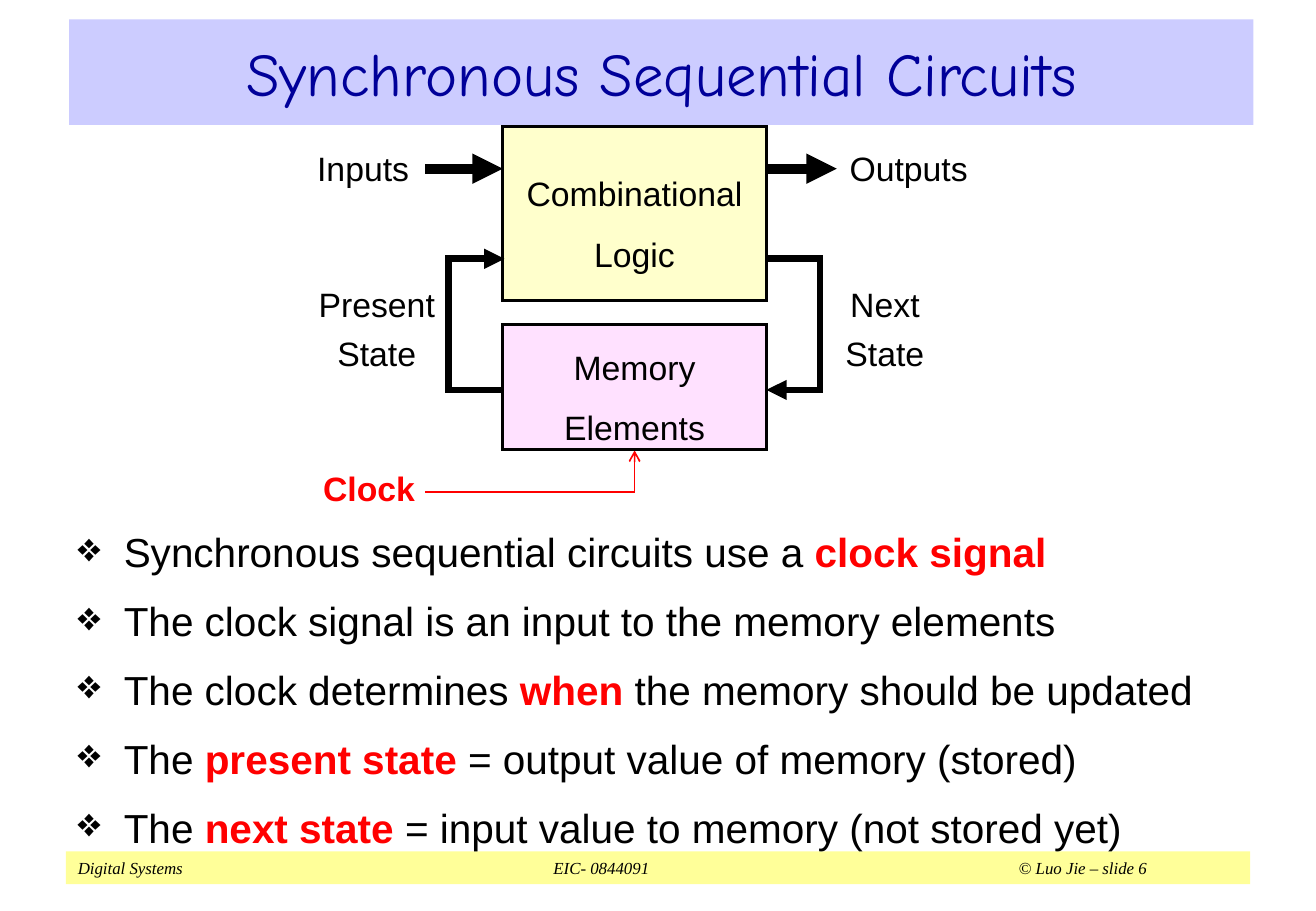
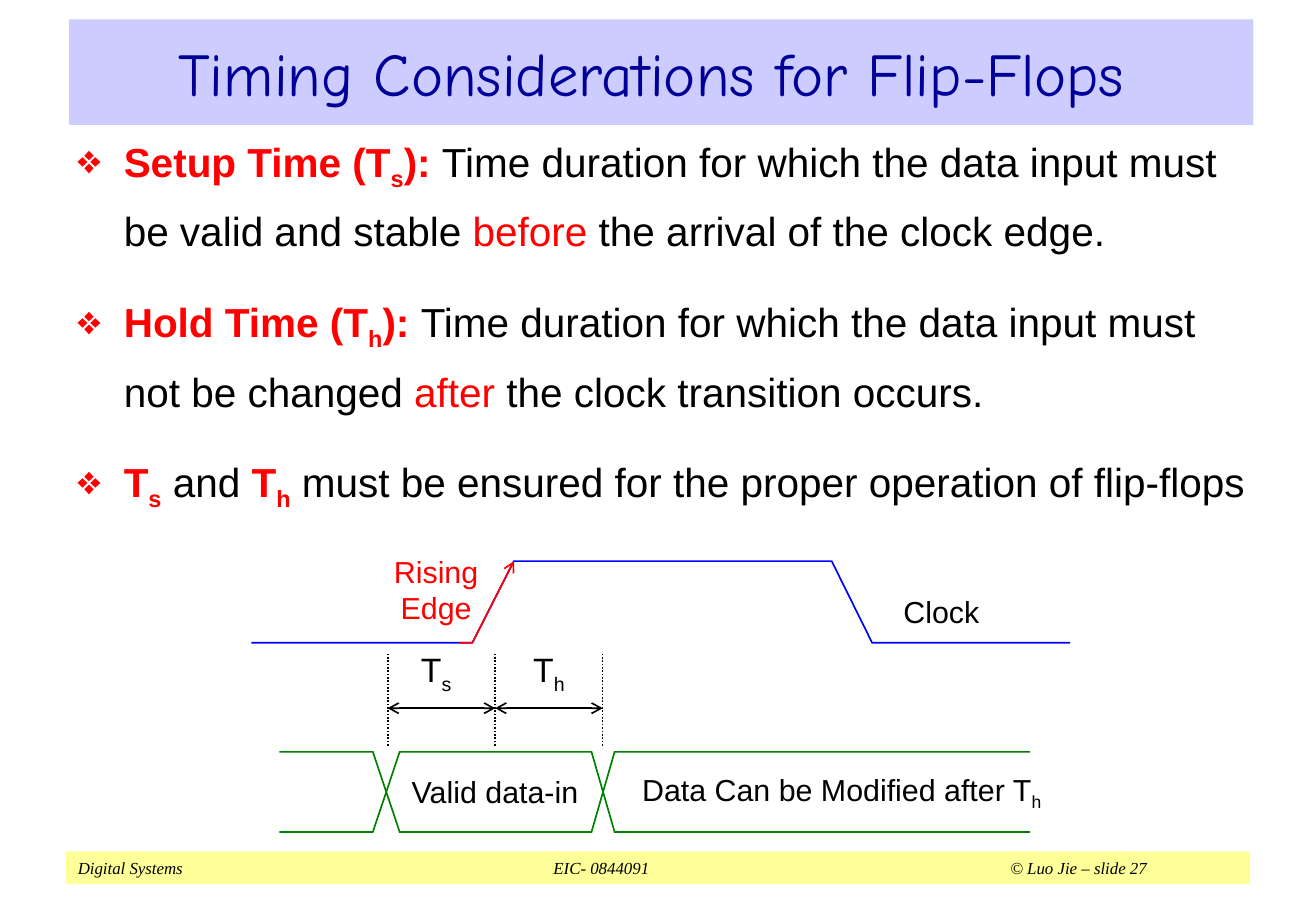
import dataclasses

import lxml.etree
import pptx
import pptx.dml.color
import pptx.enum.dml
import pptx.enum.shapes
import pptx.enum.text
import pptx.oxml.ns
import pptx.util

Pt = pptx.util.Pt
ALIGN = pptx.enum.text.PP_ALIGN
ANCHOR = pptx.enum.text.MSO_ANCHOR


@dataclasses.dataclass(frozen=True)
class Theme:
    black: str = "000000"
    white: str = "FFFFFF"
    red: str = "FF0000"
    title: str = "000099"
    title_band: str = "CCCCFF"
    footer_band: str = "FFFF99"
    logic: str = "FFFFCC"
    memory: str = "FFE1FF"
    clock: str = "0000FF"
    data: str = "008000"
    title_font: str = "Comic Neue"
    text_font: str = "Arial"
    footer_font: str = "Times New Roman"
    title_size: int = 36
    body_size: int = 24
    label_size: int = 20
    small_size: int = 18
    footer_size: int = 10


THEME = Theme()
SLIDE_SIZE = (780, 540)
TITLE_BOX = (41, 11.5, 702, 62.6)
FOOTER_BOX = (39, 504.7, 702, 19.4)
FOOTER_TABS = (("ctr", 310.3), ("r", 633.6))
BULLET_INDENT = 27.3

RUN_STYLES = {
    "plain": (THEME.black, False, False),
    "sub": (THEME.black, False, True),
    "red": (THEME.red, False, False),
    "key": (THEME.red, True, False),
    "key sub": (THEME.red, True, True),
}

CIRCUIT_TITLE = "Synchronous Sequential Circuits"
CIRCUIT_POINTS = [
    [("Synchronous sequential circuits use a ", "plain"), ("clock signal", "key")],
    [("The clock signal is an input to the memory elements", "plain")],
    [("The clock determines ", "plain"), ("when ", "key"),
     ("the memory should be updated", "plain")],
    [("The ", "plain"), ("present state ", "key"),
     ("= output value of memory (stored)", "plain")],
    [("The ", "plain"), ("next state ", "key"),
     ("= input value to memory (not stored yet)", "plain")],
]
CIRCUIT_LABELS = [
    (["Inputs"], "plain", (188, 82, 60.5, 35.3), ALIGN.LEFT),
    (["Outputs"], "plain", (503.3, 82, 70.6, 35.3), ALIGN.CENTER),
    (["Next", "State"], "plain", (496, 163.5, 57, 57.6), ALIGN.CENTER),
    (["Present", "State"], "plain", (188, 163.5, 70.6, 57.6), ALIGN.CENTER),
    (["Clock"], "key", (191.5, 276.5, 60.5, 25.2), ALIGN.LEFT),
]

TIMING_TITLE = "Timing Considerations for Flip-Flops "
TIMING_POINTS = [
    [("Setup Time (T", "key"), ("s", "key sub"), ("): ", "key"),
     ("Time duration for which the data input must be valid and stable ", "plain"),
     ("before", "red"), (" the arrival of the clock edge.", "plain")],
    [("Hold Time (T", "key"), ("h", "key sub"), ("): ", "key"),
     ("Time duration for which the data input must not be changed ", "plain"),
     ("after", "red"), (" the clock transition occurs.", "plain")],
    [("T", "key"), ("s", "key sub"), (" and ", "plain"), ("T", "key"), ("h", "key sub"),
     (" must be ensured for the proper operation of flip-flops", "plain")],
]
TIMING_LABELS = [
    ([[("Valid data-in", "plain")]], (241.2, 453.6, 104.4, 31), THEME.small_size),
    ([[("Data Can be Modified after T", "plain"), ("h", "sub")]],
     (367.9, 453.6, 262, 31), THEME.small_size),
    ([[("Clock", "plain")]], (522, 348.5, 72, 28), THEME.small_size),
    ([[("Rising", "red")], [("Edge", "red")]], (223.2, 326.2, 70.6, 46), THEME.small_size),
    ([[("T", "plain"), ("s", "sub")]], (240.5, 384.5, 36, 28), THEME.label_size),
    ([[("T", "plain"), ("h", "sub")]], (307.4, 384.5, 36, 28), THEME.label_size),
]


def colour(value):
    return pptx.dml.color.RGBColor.from_string(value)


def points(values):
    return [Pt(value) for value in values]


def add_element(parent, tag, **attributes):
    element = lxml.etree.SubElement(parent, pptx.oxml.ns.qn(tag))
    for name, value in attributes.items():
        element.set(name, str(value))
    return element


def set_font(paragraph, name, size, value, italic=None):
    font = paragraph.font
    font.name, font.size, font.italic = name, Pt(size), italic
    font.color.rgb = colour(value)


def fill_shape(shape, value):
    shape.fill.solid()
    shape.fill.fore_color.rgb = colour(value)


def add_runs(paragraph, runs, size):
    set_font(paragraph, THEME.text_font, size, THEME.black)
    for text, style in runs:
        value, bold, subscript = RUN_STYLES[style]
        run = paragraph.add_run()
        run.text = text
        run.font.bold = bold
        run.font.color.rgb = colour(value)
        if subscript:
            run.font._element.set("baseline", "-25000")


def write_label(shape, lines, size, align=ALIGN.CENTER, spacing=None):
    frame = shape.text_frame
    frame.word_wrap = True
    frame.vertical_anchor = ANCHOR.MIDDLE
    frame.margin_left = frame.margin_right = frame.margin_top = frame.margin_bottom = 0
    for index, runs in enumerate(lines):
        paragraph = frame.add_paragraph() if index else frame.paragraphs[0]
        paragraph.alignment = align
        paragraph.line_spacing = spacing
        add_runs(paragraph, runs, size)


def add_box(slide, box, fill):
    shape = slide.shapes.add_shape(pptx.enum.shapes.MSO_SHAPE.RECTANGLE, *points(box))
    shape.shadow.inherit = False
    fill_shape(shape, fill)
    shape.line.fill.background()
    return shape


def set_line(shape, value, width, head=None, tail=None, dash=None):
    shape.line.color.rgb = colour(value)
    shape.line.width = Pt(width)
    if dash:
        shape.line.dash_style = dash
    line = shape.line._get_or_add_ln()
    add_element(line, "a:miter", lim=800000)
    for tag, kind in (("a:headEnd", head), ("a:tailEnd", tail)):
        if kind:
            add_element(line, tag, type=kind)


def add_line(slide, start, end, *style, **ends):
    connector = slide.shapes.add_connector(
        pptx.enum.shapes.MSO_CONNECTOR.STRAIGHT, *points(start + end))
    set_line(connector, *style, **ends)
    add_element(connector._element.spPr, "a:effectLst")


def add_polyline(slide, vertices, *style, **ends):
    vertices = [points(vertex) for vertex in vertices]
    builder = slide.shapes.build_freeform(*vertices[0])
    builder.add_line_segments(vertices[1:], close=False)
    shape = builder.convert_to_shape()
    shape.fill.background()
    set_line(shape, *style, **ends)
    shape.shadow.inherit = False


def add_bullets(slide, box, items, space_before, spacing=None):
    frame = slide.shapes.add_textbox(*points(box)).text_frame
    frame.word_wrap = True
    for index, runs in enumerate(items):
        paragraph = frame.add_paragraph() if index else frame.paragraphs[0]
        paragraph.space_before = Pt(space_before)
        paragraph.line_spacing = spacing
        properties = paragraph._p.get_or_add_pPr()
        properties.set("marL", str(Pt(BULLET_INDENT)))
        properties.set("indent", str(-Pt(BULLET_INDENT)))
        bullet_colour = add_element(properties, "a:buClr")
        add_element(bullet_colour, "a:srgbClr", val=RUN_STYLES[runs[0][1]][0])
        add_element(properties, "a:buChar", char="❖")
        add_runs(paragraph, runs, THEME.body_size)


def add_slide(presentation, title_text, number):
    slide = presentation.slides.add_slide(presentation.slide_layouts[5])

    footer = add_box(slide, FOOTER_BOX, THEME.footer_band)
    footer.text_frame.vertical_anchor = ANCHOR.TOP
    paragraph = footer.text_frame.paragraphs[0]
    paragraph.text = f"Digital Systems\tEIC- 0844091\t© Luo Jie – slide {number}"
    paragraph.alignment = ALIGN.LEFT
    tabs = add_element(paragraph._p.get_or_add_pPr(), "a:tabLst")
    for align, position in FOOTER_TABS:
        add_element(tabs, "a:tab", pos=Pt(position), algn=align)
    set_font(paragraph, THEME.footer_font, THEME.footer_size, THEME.black, italic=True)

    title = slide.shapes.title
    title.left, title.top, title.width, title.height = points(TITLE_BOX)
    fill_shape(title, THEME.title_band)
    title.text_frame.text = title_text
    title.text_frame.auto_size = pptx.enum.text.MSO_AUTO_SIZE.NONE
    title.text_frame.vertical_anchor = ANCHOR.MIDDLE
    paragraph = title.text_frame.paragraphs[0]
    paragraph.alignment = ALIGN.CENTER
    set_font(paragraph, THEME.title_font, THEME.title_size, THEME.title)
    return slide


def build_circuit_slide(presentation):
    slide = add_slide(presentation, CIRCUIT_TITLE, 6)
    add_bullets(slide, (39, 309, 705.6, 209), CIRCUIT_POINTS, 12)

    left, right, memory_bottom = 298, 454.3, 266.5
    middle = (left + right) / 2
    signal_y, next_y, memory_y, clock_y = 100, 153.4, 231.1, 291.6
    add_polyline(slide, [(252, clock_y), (middle, clock_y), (middle, memory_bottom + 0.5)],
                 THEME.red, 1, tail="arrow")
    add_polyline(slide, [(right, memory_y), (486, memory_y), (486, next_y), (right, next_y)],
                 THEME.black, 4, head="triangle")
    for lines, top, bottom, fill in (
            (("Combinational", "Logic"), 75, 178, THEME.logic),
            (("Memory", "Elements"), 192.3, memory_bottom, THEME.memory)):
        box = add_box(slide, (left, top, right - left, bottom - top), fill)
        set_line(box, THEME.black, 2)
        write_label(box, [[(line, "plain")] for line in lines], THEME.label_size, spacing=1.5)
    for start, end in ((252, left), (right, 496)):
        add_line(slide, (start, signal_y), (end, signal_y), THEME.black, 6, tail="triangle")
    add_polyline(slide, [(left, memory_y), (265.7, memory_y), (265.7, next_y), (left + 1, next_y)],
                 THEME.black, 4, tail="triangle")
    for lines, style, box, align in CIRCUIT_LABELS:
        write_label(slide.shapes.add_textbox(*points(box)), [[(line, style)] for line in lines],
                    THEME.label_size, align, 1.2 if len(lines) > 1 else None)


def build_timing_slide(presentation):
    slide = add_slide(presentation, TIMING_TITLE, 27)
    add_bullets(slide, (39, 67.7, 715.7, 237.6), TIMING_POINTS, 15, 1.3)

    low, high = 381, 332.6
    rise = [(280, low), (304.6, high)]
    add_polyline(slide, [(149, low), *rise, (493, high), (517, low), (634.3, low)],
                 THEME.clock, 1)
    add_polyline(slide, [(272.2, low), *rise], THEME.red, 1, tail="arrow")
    for lines, box, size in TIMING_LABELS:
        write_label(slide.shapes.add_textbox(*points(box)), lines, size)

    guides = [229.8 + 63.7 * index for index in range(3)]
    for x in guides:
        add_line(slide, (x, 387.4), (x, 442.8), THEME.black, 1,
                 dash=pptx.enum.dml.MSO_LINE.ROUND_DOT)
    for start, end in zip(guides, guides[1:]):
        add_line(slide, (start, 419.8), (end, 419.8), THEME.black, 1, head="arrow", tail="arrow")

    data_xs = (165.6, 221, 236.9, 350.6, 364.3, 610.5)
    for outer, inner in ((445.7, 493.2), (493.2, 445.7)):
        data_ys = (outer, outer, inner, inner, outer, outer)
        add_polyline(slide, list(zip(data_xs, data_ys)), THEME.data, 1)


def main():
    presentation = pptx.Presentation()
    presentation.slide_width, presentation.slide_height = points(SLIDE_SIZE)
    build_circuit_slide(presentation)
    build_timing_slide(presentation)
    presentation.save("out.pptx")


if __name__ == "__main__":
    main()
